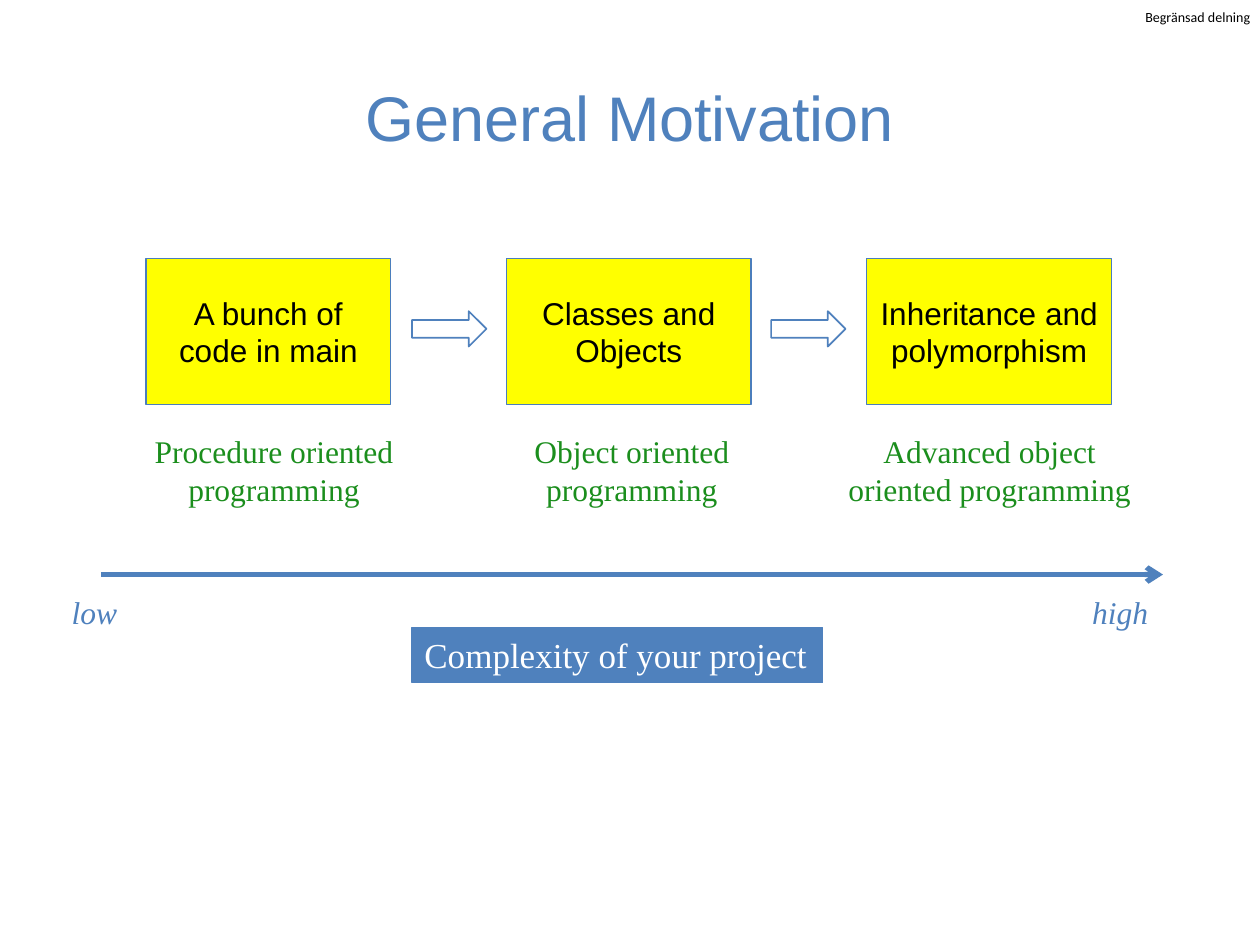
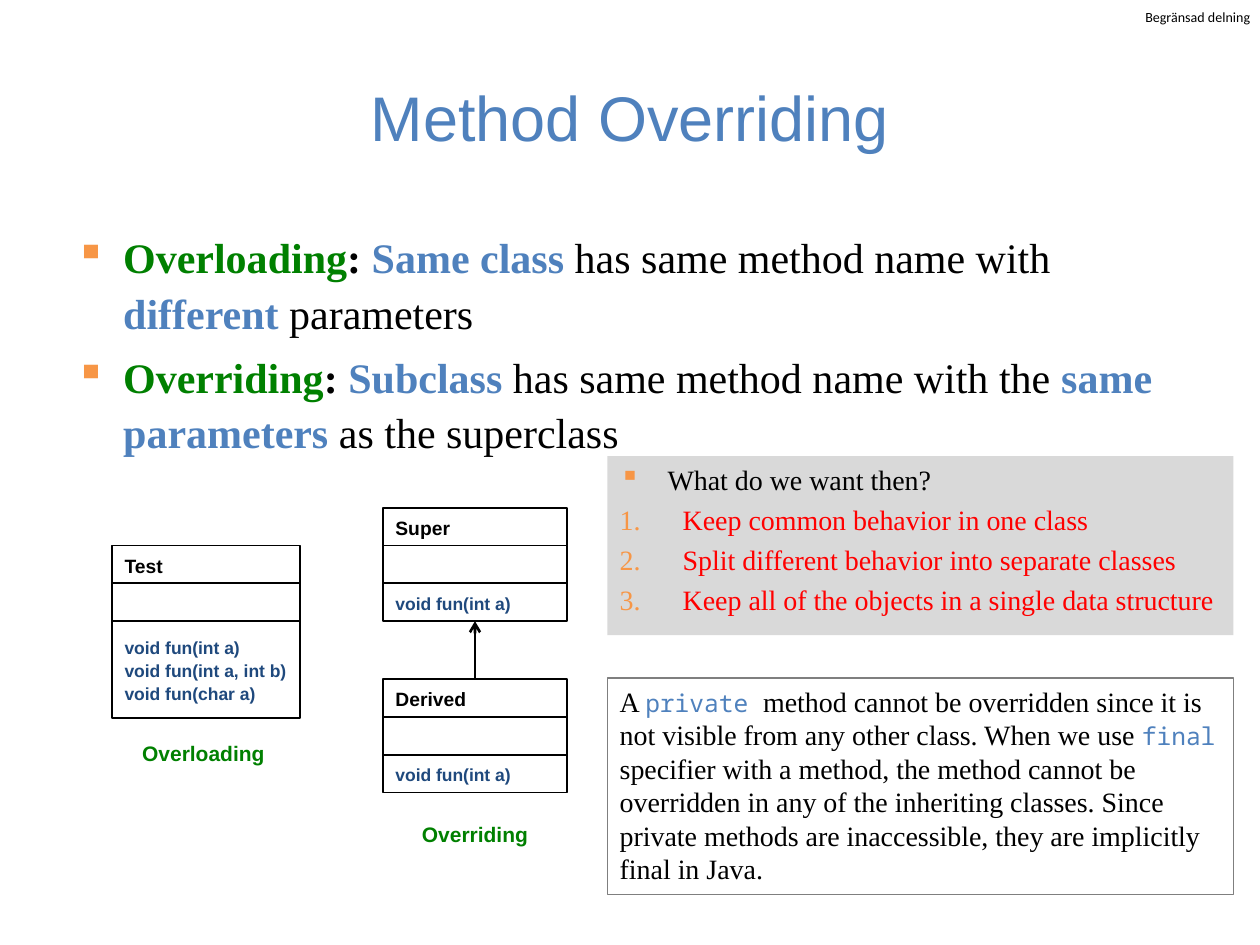
from collections import namedtuple

from lxml import etree
from pptx import Presentation
from pptx import util as u
from pptx.dml.color import RGBColor
from pptx.enum import shapes, text
from pptx.oxml import ns

COLORS = {
    "blue": "4F81BD", "navy": "1F497D", "box_line": "4B7EBC", "yellow": "FFFF00",
    "leaf": "1B8E1D", "green": "008000", "orange": "F79646", "red": "FF0000",
    "panel": "D9D9D9", "gray": "7F7F7F", "black": "000000", "white": "FFFFFF",
}
SANS, SERIF, MONO = "Arial", "Times New Roman", "Noto Sans Mono"
LEFT, CENTER = text.PP_ALIGN.LEFT, text.PP_ALIGN.CENTER
TOP, MIDDLE = text.MSO_ANCHOR.TOP, text.MSO_ANCHOR.MIDDLE
RECTANGLE = shapes.MSO_SHAPE.RECTANGLE

Box = namedtuple("Box", "left top width height")
Style = namedtuple("Style", "font size color bold italic", defaults=(False, False))


def rgb(name):
    return RGBColor.from_string(COLORS[name])


def inches(box):
    return [u.Inches(value) for value in box]


# Text

def add_run(paragraph, words, style):
    run = paragraph.add_run()
    run.text = words
    font = run.font
    font.name, font.size = style.font, u.Pt(style.size)
    font.bold, font.italic = style.bold, style.italic
    font.color.rgb = rgb(style.color)


def write(shape, paragraphs, align=LEFT, anchor=TOP, wrap=True, spacing=None, gap=0):
    """Fill a shape; each paragraph is a list of (words, style) runs."""
    frame = shape.text_frame
    frame.word_wrap, frame.vertical_anchor = wrap, anchor
    if not wrap:
        frame.auto_size = text.MSO_AUTO_SIZE.SHAPE_TO_FIT_TEXT
    for index, runs in enumerate(paragraphs):
        paragraph = frame.add_paragraph() if index else frame.paragraphs[0]
        paragraph.alignment = align
        if spacing:
            paragraph.line_spacing = spacing
        if index and gap:
            paragraph.space_before = u.Pt(gap)
        for words, style in runs:
            add_run(paragraph, words, style)
    return frame.paragraphs


def add_bullet(paragraph, indent, numbered=False):
    properties = paragraph._p.get_or_add_pPr()
    properties.set("marL", str(u.Inches(indent)))
    properties.set("indent", str(-u.Inches(indent)))
    color = etree.SubElement(properties, ns.qn("a:buClr"))
    etree.SubElement(color, ns.qn("a:srgbClr"), val=COLORS["orange"])
    if numbered:
        etree.SubElement(properties, ns.qn("a:buAutoNum"), type="arabicPeriod")
    else:
        etree.SubElement(properties, ns.qn("a:buChar"), char="▪")


# Shapes

def add_box(slide, box, fill=None, line=None, width=0.75, kind=RECTANGLE):
    shape = slide.shapes.add_shape(kind, *inches(box))
    shape.shadow.inherit = False
    if fill:
        shape.fill.solid()
        shape.fill.fore_color.rgb = rgb(fill)
    else:
        shape.fill.background()
    if line:
        shape.line.color.rgb = rgb(line)
        shape.line.width = u.Pt(width)
    else:
        shape.line.fill.background()
    return shape


def add_label(slide, box, words, style, **options):
    write(slide.shapes.add_textbox(*inches(box)), [[(words, style)]], **options)


def add_arrow(slide, start, end, color, width):
    connector = slide.shapes.add_connector(
        shapes.MSO_CONNECTOR.STRAIGHT, *inches(start + end))
    connector.line.color.rgb = rgb(color)
    connector.line.width = u.Pt(width)
    etree.SubElement(connector.line._get_or_add_ln(), ns.qn("a:tailEnd"), type="arrow")
    etree.SubElement(connector._element.spPr, ns.qn("a:effectLst"))
    return connector


def add_titled_slide(presentation, title):
    slide = presentation.slides.add_slide(presentation.slide_layouts[5])
    # Sharing notice in the corner
    notice = slide.shapes.add_textbox(*inches(Box(9.09, 0.07, 0.86, 0.13)))
    frame = notice.text_frame
    frame.margin_left = frame.margin_right = frame.margin_top = frame.margin_bottom = 0
    write(notice, [[("Begränsad delning", Style("Calibri", 8, "black"))]], wrap=False)
    # Title
    shape = slide.shapes.title
    shape.left, shape.top, shape.width, shape.height = inches(Box(0.5, 0.3, 9, 1.25))
    write(shape, [[(title, Style(SANS, 36, "blue"))]], CENTER, MIDDLE)
    return slide


# General Motivation

def add_stages(slide, box):
    stages = [
        ("A bunch of code in main", "Procedure oriented programming"),
        ("Classes and Objects", "Object oriented programming"),
        ("Inheritance and polymorphism", "Advanced object oriented programming"),
    ]
    for index, (stage, paradigm) in enumerate(stages):
        card = add_box(slide, Box(box.left + 0.36 + 2.86 * index, box.top, 1.94, 1.16),
                       "yellow", "box_line")
        write(card, [[(stage, Style(SANS, 18, "black"))]], CENTER, MIDDLE)
        add_label(slide, Box(box.left + 2.84 * index, box.top + 1.33, 2.75, 0.71),
                  paradigm, Style(SERIF, 18, "leaf"), align=CENTER)
        if index:
            add_box(slide, Box(box.left - 0.38 + 2.85 * index, box.top + 0.42, 0.59, 0.28),
                    "white", "blue", 1, shapes.MSO_SHAPE.RIGHT_ARROW)


def add_complexity_axis(slide, box):
    add_arrow(slide, (box.left, box.top), (box.left + box.width, box.top), "blue", 3)
    caption = add_box(slide, Box(box.left + 2.47, box.top + 0.42, 3.26, 0.44), "blue", "blue")
    write(caption, [[("Complexity of your project", Style(SERIF, 20, "white"))]], wrap=False)
    for words, offset, width in [("low", -0.33, 0.65), ("high", 7.77, 0.74)]:
        add_label(slide, Box(box.left + offset, box.top + 0.1, width, 0.4), words,
                  Style(SERIF, 18, "blue", italic=True), wrap=False)


def build_motivation(presentation):
    slide = add_titled_slide(presentation, "General Motivation")
    add_stages(slide, Box(0.8, 2.05, 8.43, 2.04))
    add_complexity_axis(slide, Box(0.8, 4.56, 8.43, 0.86))


# Method Overriding

def add_definitions(slide, box):
    plain = Style(SERIF, 24, "black")
    colon = plain._replace(bold=True)
    term, key = colon._replace(color="green"), colon._replace(color="blue")
    definitions = [
        [("Overloading", term), (": ", colon), ("Same class ", key),
         ("has same method name with ", plain), ("different", key), (" parameters", plain)],
        [("Overriding", term), (": ", colon), ("Subclass", key),
         (" has same method name with the ", plain), ("same parameters", key),
         (" as the superclass", plain)],
    ]
    body = slide.shapes.add_textbox(*inches(box))
    for paragraph in write(body, definitions, spacing=1.1, gap=5):
        add_bullet(paragraph, 0.38)


def add_class_diagram(slide, box, name, methods):
    """Stack name, empty field row and methods; return the first and last row."""
    row = 0.3
    heading = [[(name, Style(SANS, 11, "black", True))]]
    code = [[(method, Style(SANS, 10, "navy", True))] for method in methods]
    rows = []
    for index, lines in enumerate([heading, [], code]):
        height = box.height - 2 * row if index == 2 else row
        cell = add_box(slide, Box(box.left, box.top + index * row, box.width, height),
                       "white", "black", 1)
        write(cell, lines, anchor=MIDDLE, spacing=1.1)
        rows.append(cell)
    return rows[0], rows[-1]


def add_overloading(slide, box):
    add_class_diagram(slide, box, "Test",
                      ["void fun(int a)", "void fun(int a, int b)", "void fun(char a)"])
    add_label(slide, Box(box.left + 0.14, box.top + 1.5, 1.18, 0.3), "Overloading",
              Style(SANS, 12, "green", True), wrap=False)


def add_overriding(slide, box):
    height, step = 0.9, 1.36
    parent, child = [
        add_class_diagram(slide, Box(box.left, box.top + index * step, box.width, height),
                          name, ["void fun(int a)"])
        for index, name in enumerate(["Super", "Derived"])]
    middle = box.left + box.width / 2
    arrow = add_arrow(slide, (middle, box.top + step), (middle, box.top + height), "black", 1.5)
    arrow.begin_connect(child[0], 0)
    arrow.end_connect(parent[1], 2)
    add_label(slide, Box(box.left + 0.21, box.top + 2.44, 1.05, 0.3), "Overriding",
              Style(SANS, 12, "green", True), wrap=False)


def add_goals(slide, box):
    question = Style(SERIF, 16, "black")
    goal = question._replace(color="red")
    lines = [
        [("What do we want then?", question)],
        [("Keep common behavior in one class", goal)],
        [("Split different behavior into separate classes", goal)],
        [("Keep all of the objects in a single data structure", goal)],
    ]
    panel = add_box(slide, box, "panel")
    for index, paragraph in enumerate(write(panel, lines, gap=3.7)):
        add_bullet(paragraph, 0.5 if index else 0.38, numbered=index > 0)


def add_final_note(slide, box):
    prose, keyword = Style(SERIF, 16, "black"), Style(MONO, 14, "blue")
    write(add_box(slide, box, line="gray"), [[
        ("A ", prose), ("private ", keyword),
        ("method cannot be overridden since it is not visible from any other class. "
         "When we use ", prose),
        ("final ", keyword),
        ("specifier with a method, the method cannot be overridden in any of the inheriting "
         "classes. Since private methods are inaccessible, they are implicitly final in Java.",
         prose),
    ]])


def build_overriding(presentation):
    slide = add_titled_slide(presentation, "Method Overriding")
    add_definitions(slide, Box(0.5, 1.75, 9, 2.15))
    add_overloading(slide, Box(0.89, 4.33, 1.49, 1.37))
    add_overriding(slide, Box(3.04, 4.03, 1.46, 2.26))
    add_goals(slide, Box(4.82, 3.62, 4.97, 1.42))
    add_final_note(slide, Box(4.82, 5.38, 4.97, 1.72))


def main():
    presentation = Presentation()
    presentation.slide_width, presentation.slide_height = u.Inches(10), u.Inches(7.5)
    build_motivation(presentation)
    build_overriding(presentation)
    presentation.save("out.pptx")


if __name__ == "__main__":
    main()
